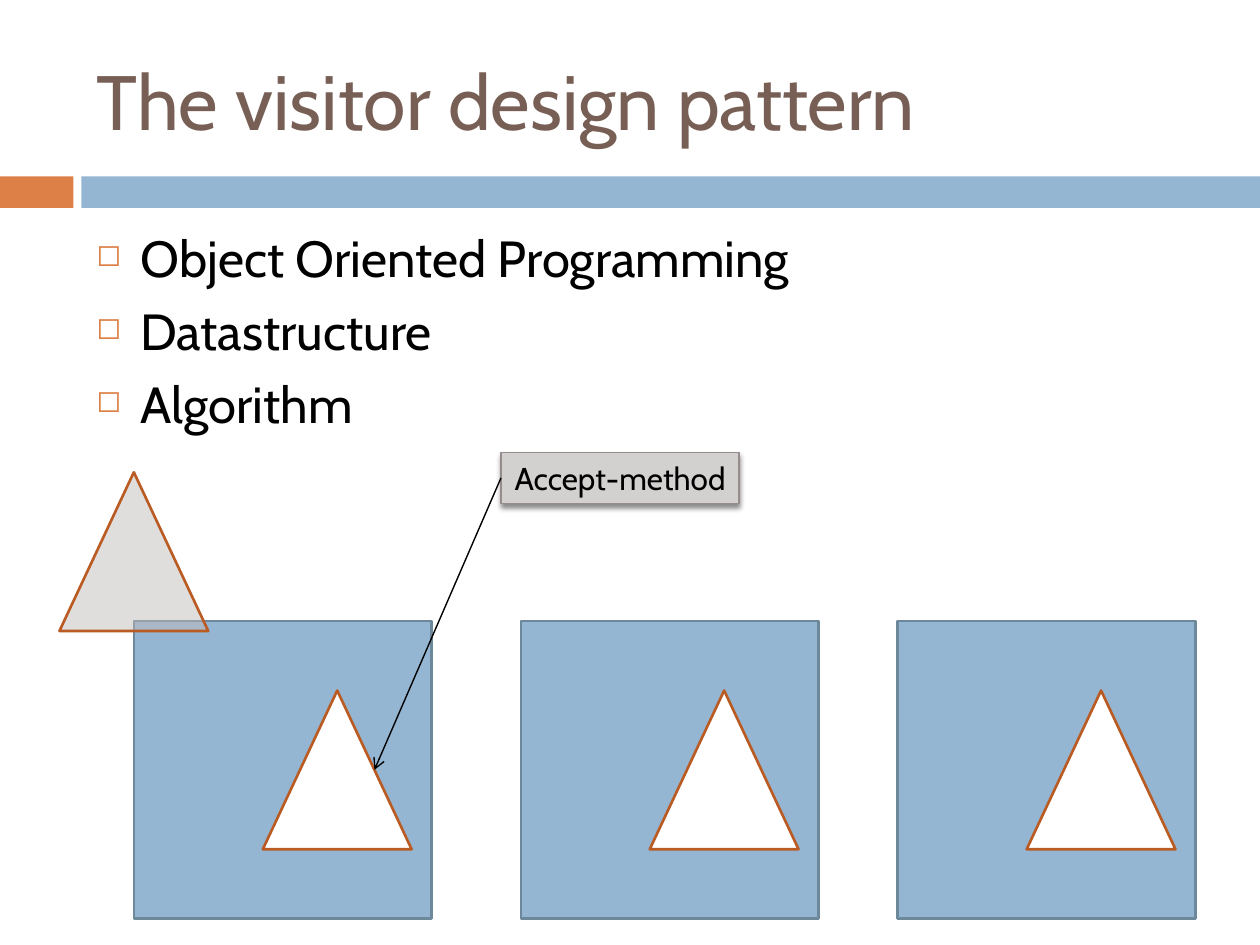
from lxml import etree
from pptx import Presentation
from pptx import util as u
from pptx.dml.color import RGBColor
from pptx.enum import shapes, text
from pptx.oxml import parse_xml
from pptx.oxml.ns import nsdecls, qn

COLORS = {
    "orange": "DD8047", "blue": "94B6D2", "blue_edge": "6D879B",
    "rust": "B95B22", "brown": "775F55", "gray": "C0BABA",
    "label": "D3D0D0", "label_edge": "968C8C",
    "white": "FFFFFF", "black": "000000",
}
RECTANGLE = shapes.MSO_SHAPE.RECTANGLE
TRIANGLE = shapes.MSO_SHAPE.ISOSCELES_TRIANGLE


def rgb(name):
    return RGBColor.from_string(COLORS[name])


class SlideBuilder:
    font = "Cabin"

    def __init__(self, presentation):
        self.slide = presentation.slides.add_slide(presentation.slide_layouts[5])

    def add_words(self, paragraph, words, size, color):
        run = paragraph.add_run()
        run.text = words
        run.font.name = self.font
        run.font.size = u.Pt(size)
        run.font.color.rgb = rgb(color)

    def title(self, words, left, top, width, height):
        title = self.slide.shapes.title
        title.left, title.top = u.Pt(left), u.Pt(top)
        title.width, title.height = u.Pt(width), u.Pt(height)
        frame = title.text_frame
        frame.auto_size = text.MSO_AUTO_SIZE.NONE
        frame.vertical_anchor = text.MSO_ANCHOR.MIDDLE
        paragraph = frame.paragraphs[0]
        paragraph.alignment = text.PP_ALIGN.LEFT
        self.add_words(paragraph, words, 44, "brown")

    def bullets(self, items, left, top, width, height):
        box = self.slide.shapes.add_textbox(*map(u.Pt, (left, top, width, height)))
        frame = box.text_frame
        frame.word_wrap = True
        for index, item in enumerate(items):
            paragraph = frame.add_paragraph() if index else frame.paragraphs[0]
            paragraph.space_before = u.Pt(7)
            properties = paragraph._p.get_or_add_pPr()
            properties.set("marL", str(u.Pt(25.2)))
            properties.set("indent", str(u.Pt(-25.2)))
            color = etree.SubElement(properties, qn("a:buClr"))
            etree.SubElement(color, qn("a:srgbClr"), val=COLORS["orange"])
            etree.SubElement(properties, qn("a:buSzPct"), val="60000")
            etree.SubElement(properties, qn("a:buChar"), char="◻")
            self.add_words(paragraph, item, 29, "black")

    def shape(self, kind, left, top, width, height, fill, line=None,
              line_width=1.5, opacity=None):
        shape = self.slide.shapes.add_shape(
            kind, *map(u.Pt, (left, top, width, height)))
        shape.shadow.inherit = False
        shape.fill.solid()
        shape.fill.fore_color.rgb = rgb(fill)
        if opacity is not None:
            color = shape._element.spPr.find(qn("a:solidFill")).find(qn("a:srgbClr"))
            etree.SubElement(color, qn("a:alpha"), val=str(opacity * 1000))
        if line:
            shape.line.color.rgb = rgb(line)
            shape.line.width = u.Pt(line_width)
        else:
            shape.line.fill.background()
        return shape

    def label(self, words, left, top, width, height):
        """Add a captioned box with a soft shadow below it."""
        label = self.shape(RECTANGLE, left, top, width, height,
                           "label", "label_edge", 0.79)
        effects = label._element.spPr.find(qn("a:effectLst"))
        effects.append(parse_xml(
            f'<a:outerShdw {nsdecls("a")} blurRad="{u.Pt(3)}" dist="{u.Pt(2.4)}" '
            f'dir="5400000" rotWithShape="0"><a:srgbClr val="{COLORS["black"]}">'
            '<a:alpha val="45000"/></a:srgbClr></a:outerShdw>'))
        frame = label.text_frame
        frame.word_wrap = True
        frame.auto_size = text.MSO_AUTO_SIZE.SHAPE_TO_FIT_TEXT
        paragraph = frame.paragraphs[0]
        paragraph.alignment = text.PP_ALIGN.CENTER
        self.add_words(paragraph, words, 18, "black")
        return label

    def arrow_from_left_side(self, shape, end_x, end_y):
        arrow = self.slide.shapes.add_connector(
            shapes.MSO_CONNECTOR.STRAIGHT, 0, 0, u.Pt(end_x), u.Pt(end_y))
        arrow.begin_connect(shape, 1)
        arrow.line.color.rgb = rgb("black")
        arrow.line.width = u.Pt(0.79)
        etree.SubElement(arrow.line._get_or_add_ln(), qn("a:tailEnd"), type="arrow")
        etree.SubElement(arrow._element.spPr, qn("a:effectLst"))


def main():
    presentation = Presentation()
    presentation.slide_width, presentation.slide_height = u.Pt(720), u.Pt(540)
    builder = SlideBuilder(presentation)

    builder.shape(RECTANGLE, 0, 100.8, 42, 18, "orange")
    builder.shape(RECTANGLE, 46.5, 100.8, 673.5, 18, "blue")
    builder.title("The visitor design pattern", 48, 18, 642, 78)
    builder.bullets(["Object Oriented Programming", "Datastructure", "Algorithm"],
                    48, 126, 642, 354)

    square_side, square_top = 170.1, 354.9
    triangle_width, triangle_height = 85.04, 90.7
    inset_x, inset_y = 73.7, 39.7
    square_lefts = (76.5, 297.6, 513)
    for left in square_lefts:
        builder.shape(RECTANGLE, left, square_top, square_side, square_side,
                      "blue", "blue_edge")
        builder.shape(TRIANGLE, left + inset_x, square_top + inset_y,
                      triangle_width, triangle_height, "white", "rust")
    builder.shape(TRIANGLE, 34, 269.9, triangle_width, triangle_height,
                  "gray", "rust", opacity=48)

    label = builder.label("Accept-method", 286.3, 258.5, 136.1, 29.1)
    builder.arrow_from_left_side(
        label,
        square_lefts[0] + inset_x + triangle_width * 0.75,
        square_top + inset_y + triangle_height / 2)

    presentation.save("out.pptx")


if __name__ == "__main__":
    main()
